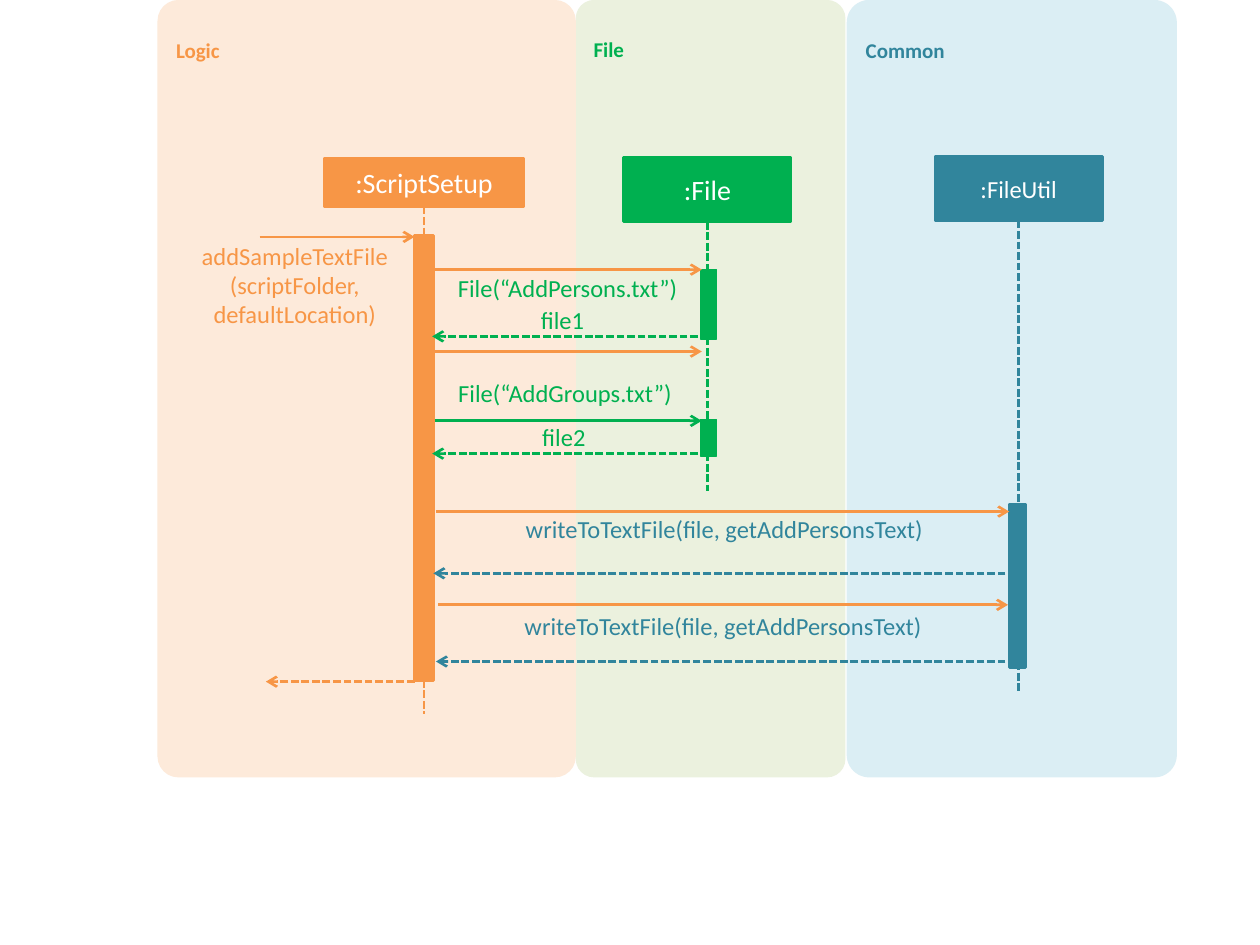
from lxml.etree import SubElement
from pptx import Presentation
from pptx.dml.color import RGBColor
from pptx.enum.dml import MSO_LINE_DASH_STYLE as DASH
from pptx.enum.shapes import MSO_CONNECTOR, MSO_SHAPE
from pptx.enum.text import MSO_ANCHOR, MSO_AUTO_SIZE, PP_ALIGN
from pptx.oxml.ns import qn
from pptx.util import Inches, Pt

ORANGE, GREEN, TEAL, WHITE = "F79646", "00B050", "31859C", "FFFFFF"
LANE_HEIGHT = 6.17
BOTTOM_SIDE = 2

# name, left, width, corner, fill, text colour
LANES = [
    ("Common", 6.72, 2.62, 0.068, "DBEEF4", TEAL),
    ("File", 4.57, 2.14, 0.068, "EBF1DE", GREEN),
    ("Logic", 1.25, 3.32, 0.05, "FDEADA", ORANGE),
]

# name, box (left, top, width, height), text size, colour, lifeline end,
# activation left and width, border width, activations (top, height)
PARTICIPANTS = [
    (":ScriptSetup", (2.57, 1.26, 1.59, 0.38), 16, ORANGE, 5.67,
     3.29, 0.15, 2, [(1.87, 3.53)]),
    (":FileUtil", (7.42, 1.24, 1.33, 0.51), 14, TEAL, 5.5,
     8.01, 0.13, 1.5, [(4, 1.3)]),
    (":File", (4.95, 1.25, 1.33, 0.51), 16, GREEN, 3.9,
     5.56, 0.13, 0.75, [(2.14, 0.55), (3.33, 0.29)]),
]

# sender x, receiver x, y, colour
CALLS = [
    (2.06, 3.29, 1.88, ORANGE),
    (3.45, 5.57, 2.14, ORANGE),
    (3.45, 5.57, 2.79, ORANGE),
    (3.45, 5.57, 3.34, GREEN),
    (3.46, 8.01, 4.06, ORANGE),
    (3.48, 8, 4.8, ORANGE),
]
RETURNS = [
    (5.54, 3.43, 2.67, GREEN),
    (5.54, 3.43, 3.6, GREEN),
    (7.98, 3.44, 4.55, TEAL),
    (7.98, 3.46, 5.25, TEAL),
    (3.29, 2.11, 5.41, ORANGE),
]

# lines, left, top, width, height, colour
LABELS = [
    (["addSampleTextFile", "(scriptFolder, defaultLocation)"],
     1.45, 1.91, 1.78, 0.71, ORANGE),
    (["File(“AddPersons.txt”)"], 3.62, 2.17, 1.77, 0.24, GREEN),
    (["file1"], 3.58, 2.42, 1.77, 0.24, GREEN),
    (["File(“AddGroups.txt”)"], 3.6, 3, 1.77, 0.24, GREEN),
    (["file2"], 3.59, 3.35, 1.77, 0.24, GREEN),
    (["writeToTextFile(file, getAddPersonsText)"],
     3.8, 4.08, 3.9, 0.24, TEAL),
    (["writeToTextFile(file, getAddPersonsText)"],
     3.79, 4.85, 3.9, 0.24, TEAL),
]


def rgb(value):
    return RGBColor.from_string(value)


def write(frame, lines, size, color, align, bold=False):
    frame.word_wrap = True
    frame.text = "\n".join(lines)
    for para in frame.paragraphs:
        para.alignment = align
        for span in para.runs:
            font = span.font
            font.name, font.size, font.bold = "Calibri", Pt(size), bold
            font.color.rgb = rgb(color)


def add_block(page, bounds, fill, border=None, kind=MSO_SHAPE.RECTANGLE):
    """Add a filled shape, with a border of the same colour if a width is given."""
    block = page.shapes.add_shape(kind, *map(Inches, bounds))
    block.shadow.inherit = False
    block.fill.solid()
    block.fill.fore_color.rgb = rgb(fill)
    if border:
        block.line.color.rgb = rgb(fill)
        block.line.width = Pt(border)
    else:
        block.line.fill.background()
    return block


def add_lane(page, name, left, width, corner, fill, color):
    lane = add_block(page, (left, 0, width, LANE_HEIGHT), fill,
                     kind=MSO_SHAPE.ROUNDED_RECTANGLE)
    lane.adjustments[0] = corner
    frame = lane.text_frame
    frame.vertical_anchor = MSO_ANCHOR.TOP
    frame.margin_top = Inches(0.25)
    write(frame, [name], 12, color, PP_ALIGN.LEFT, bold=True)


def add_line(page, start, end, color, dashed=False, arrow=False):
    line = page.shapes.add_connector(
        MSO_CONNECTOR.STRAIGHT, *map(Inches, (*start, *end)))
    line.line.color.rgb = rgb(color)
    line.line.width = Pt(1.5)
    if dashed:
        line.line.dash_style = DASH.SQUARE_DOT
    if arrow:
        SubElement(line.line._get_or_add_ln(), qn("a:tailEnd"), type="arrow")
    SubElement(line._element.spPr, qn("a:effectLst"))
    return line


def add_participant(page, name, bounds, size, color, life_end,
                    bar_left, bar_width, border, activations):
    """Add a named box, its lifeline and its activation bars."""
    box = add_block(page, bounds, color, 1.5)
    box.text_frame.vertical_anchor = MSO_ANCHOR.MIDDLE
    write(box.text_frame, [name], size, WHITE, PP_ALIGN.CENTER)
    left, top, width, height = bounds
    middle = left + width / 2
    lifeline = add_line(page, (middle, top + height), (middle, life_end),
                        color, dashed=True)
    lifeline.begin_connect(box, BOTTOM_SIDE)
    for bar_top, bar_height in activations:
        add_block(page, (bar_left, bar_top, bar_width, bar_height),
                  color, border)


def add_label(page, lines, left, top, width, height, color):
    box = page.shapes.add_textbox(*map(Inches, (left, top, width, height)))
    frame = box.text_frame
    frame.margin_left = frame.margin_right = 0
    frame.margin_top = frame.margin_bottom = 0
    frame.auto_size = MSO_AUTO_SIZE.SHAPE_TO_FIT_TEXT
    write(frame, lines, 14, color, PP_ALIGN.CENTER)


def main():
    deck = Presentation()
    deck.slide_width, deck.slide_height = Inches(10), Inches(7.5)
    page = deck.slides.add_slide(deck.slide_layouts[6])
    for lane in LANES:
        add_lane(page, *lane)
    for participant in PARTICIPANTS:
        add_participant(page, *participant)
    for messages, dashed in ((CALLS, False), (RETURNS, True)):
        for sender, receiver, y, color in messages:
            add_line(page, (sender, y), (receiver, y), color, dashed, arrow=True)
    for label in LABELS:
        add_label(page, *label)
    deck.save("out.pptx")


if __name__ == "__main__":
    main()
